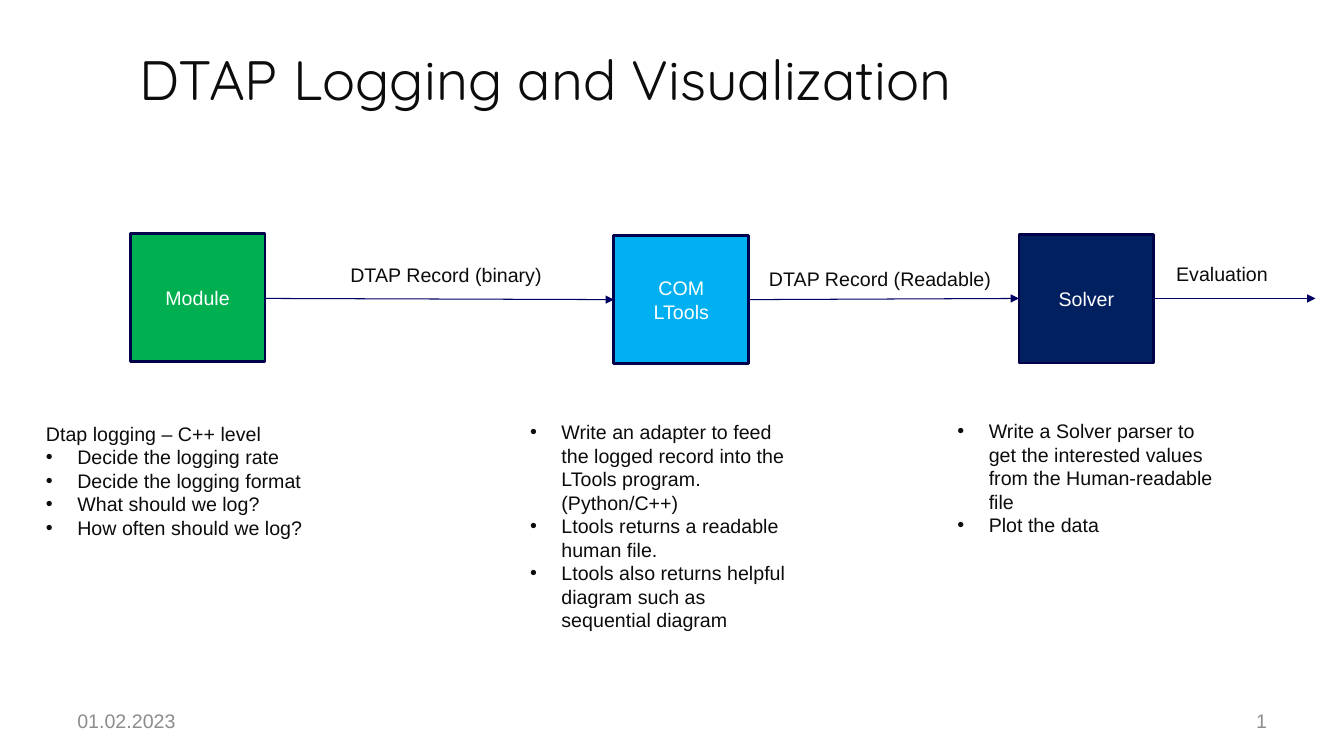
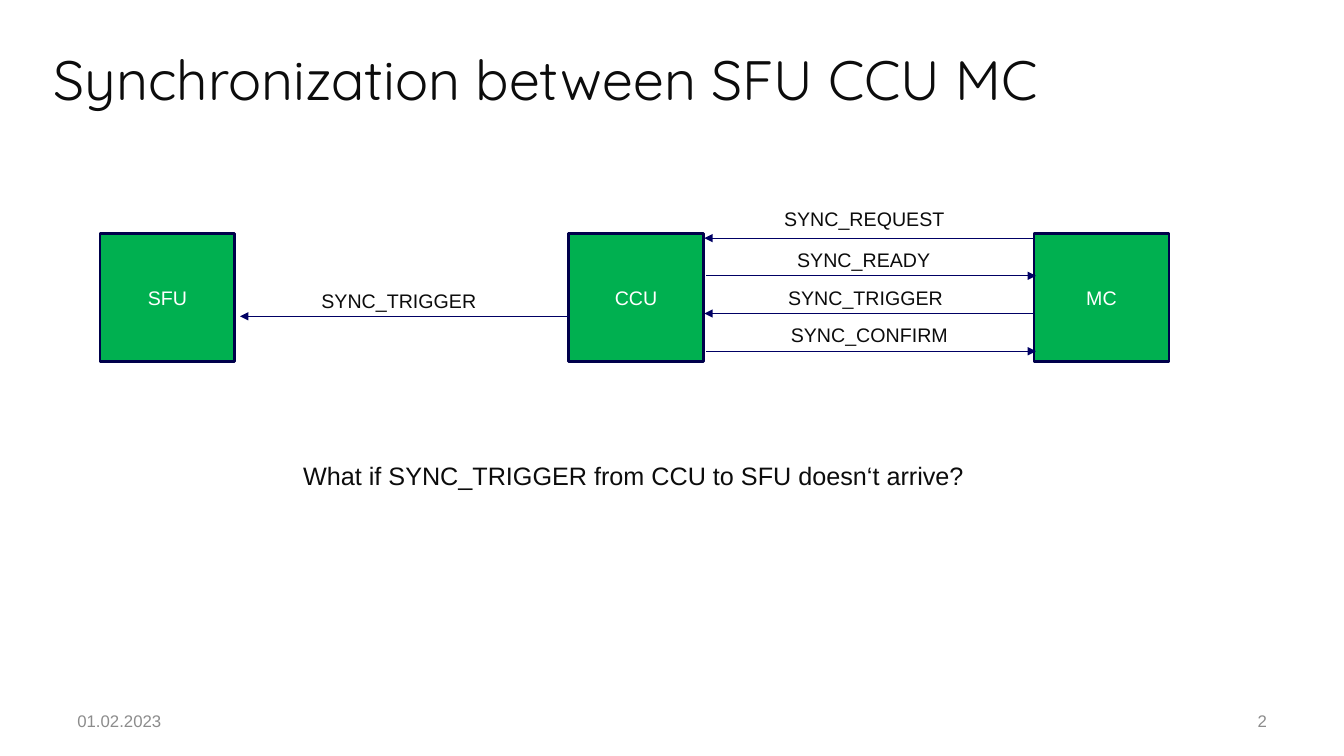
from lxml import etree
from pptx import Presentation
from pptx.dml.color import RGBColor
from pptx.enum.shapes import MSO_CONNECTOR as CONNECTOR, MSO_SHAPE as SHAPE
from pptx.enum.text import MSO_ANCHOR as ANCHOR, PP_ALIGN as ALIGN
from pptx.oxml.ns import qn
from pptx.util import Cm, Pt

INK, GREY, WHITE = "0C0C0C", "8C8C8C", "FFFFFF"
GREEN, SKY, NAVY = "00B050", "00B0F0", "002060"
BORDER, ARROW = "00004B", "000064"
BODY_FONT, TITLE_FONT = "Arial", "Quicksand"
DATE = "01.02.2023"
BOX_W, BOX_H, BOX_TOP = 3.4, 3.23, 5.89
LABEL_H = 0.86
BULLET_INDENT = 0.79


def color(value):
    return RGBColor.from_string(value)


def set_attrs(obj, values):
    for name, value in values.items():
        setattr(obj, name, value)


def fill_paragraph(p, text, size=14, ink=INK, font=BODY_FONT, align=ALIGN.LEFT):
    p.alignment = align
    r = p.add_run()
    r.text = text
    set_attrs(r.font, {"size": Pt(size), "name": font})
    r.font.color.rgb = color(ink)


def add_bullet(p):
    pPr = p._p.get_or_add_pPr()
    pPr.set("marL", str(Cm(BULLET_INDENT)))
    pPr.set("indent", str(-Cm(BULLET_INDENT)))
    etree.SubElement(pPr, qn("a:buFont")).set("typeface", BODY_FONT)
    etree.SubElement(pPr, qn("a:buChar")).set("char", "•")


def add_lines(tf, lines, **style):
    """Write one paragraph per line; a line starting with • becomes a bullet."""
    for i, line in enumerate(lines):
        p = tf.paragraphs[0] if i == 0 else tf.add_paragraph()
        fill_paragraph(p, line.removeprefix("•"), **style)
        if line.startswith("•"):
            add_bullet(p)


def add_text(slide, at, *lines, wrap=True, anchor=ANCHOR.TOP, **style):
    tf = slide.shapes.add_textbox(*map(Cm, at)).text_frame
    set_attrs(tf, {"word_wrap": wrap, "vertical_anchor": anchor})
    add_lines(tf, lines, **style)


def add_label(slide, left, top, width, text, **style):
    add_text(slide, (left, top, width, LABEL_H), text, wrap=False, **style)


def add_box(slide, left, fill, *lines, top=BOX_TOP):
    sp = slide.shapes.add_shape(SHAPE.RECTANGLE, *map(Cm, (left, top, BOX_W, BOX_H)))
    sp.shadow.inherit = False
    sp.fill.solid()
    sp.fill.fore_color.rgb = color(fill)
    sp.line.color.rgb = color(BORDER)
    sp.line.width = Pt(2)
    sp.text_frame.vertical_anchor = ANCHOR.MIDDLE
    add_lines(sp.text_frame, lines, ink=WHITE, align=ALIGN.CENTER)


def add_arrow(slide, x1, y1, x2, y2):
    line = slide.shapes.add_connector(CONNECTOR.STRAIGHT, *map(Cm, (x1, y1, x2, y2)))
    line.line.color.rgb = color(ARROW)
    line.line.width = Pt(0.75)
    etree.SubElement(line.line._get_or_add_ln(), qn("a:tailEnd")).set("type", "triangle")
    etree.SubElement(line._element.spPr, qn("a:effectLst"))


def add_slide(prs, title, footer_size):
    """Add a blank slide with the shared title, date and slide number."""
    slide = prs.slides.add_slide(prs.slide_layouts[6])
    footer = {"anchor": ANCHOR.MIDDLE, "size": footer_size, "ink": GREY}
    add_text(slide, (1.7, 17.65, 7.9, 1.02), DATE, **footer)
    add_text(slide, (24.28, 17.65, 7.9, 1.02), str(len(prs.slides)),
             align=ALIGN.RIGHT, **footer)
    add_text(slide, (0, 1.17, 27.5, 1.6), title, anchor=ANCHOR.MIDDLE,
             size=39.6, font=TITLE_FONT, align=ALIGN.CENTER)
    return slide


def build_logging(prs):
    slide = add_slide(prs, "DTAP Logging and Visualization", 14)
    add_box(slide, 3.28, GREEN, "Module")
    add_box(slide, 15.47, SKY, "COM", "LTools", top=5.94)
    add_box(slide, 25.68, NAVY, "Solver", top=5.92)

    add_arrow(slide, 6.7, 7.52, 15.47, 7.55)
    add_arrow(slide, 18.87, 7.55, 25.68, 7.52)
    add_arrow(slide, 29.08, 7.52, 33.15, 7.52)
    add_label(slide, 8.58, 6.5, 5.46, "DTAP Record (binary)")
    add_label(slide, 19.13, 6.6, 6.22, "DTAP Record (Readable)")
    add_label(slide, 29.39, 6.47, 2.84, "Evaluation")

    add_text(slide, (0.91, 10.5, 6.99, 3.25),
             "Dtap logging – C++ level",
             "•Decide the logging rate",
             "•Decide the logging format",
             "•What should we log?",
             "•How often should we log?", wrap=False)
    add_text(slide, (13.11, 10.46, 7.26, 5.64),
             "•Write an adapter to feed the logged record into the "
             "LTools program. (Python/C++)",
             "•Ltools returns a readable human file.",
             "•Ltools also returns helpful diagram such as sequential diagram")
    add_text(slide, (23.88, 10.44, 7.26, 3.25),
             "•Write a Solver parser to get the interested values "
             "from the Human-readable file",
             "•Plot the data")


def build_synchronization(prs):
    slide = add_slide(prs, "Synchronization between SFU CCU MC", 12)
    for left, name in ((2.52, "SFU"), (14.33, "CCU"), (26.06, "MC")):
        add_box(slide, left, GREEN, name)

    to_ccu, to_mc = (26.06, 17.75), (17.8, 26.11)
    messages = (
        (to_ccu, 19.51, 5.09, 4.6, "SYNC_REQUEST"),
        (to_mc, 19.84, 6.12, 3.91, "SYNC_READY"),
        (to_ccu, 19.61, 7.09, 4.45, "SYNC_TRIGGER"),
        (to_mc, 19.68, 8.0, 4.5, "SYNC_CONFIRM"),
    )
    for i, ((start, end), *label) in enumerate(messages):
        y = 6 + 0.95 * i
        add_arrow(slide, start, y, end, y)
        add_label(slide, *label)

    add_arrow(slide, 14.33, 7.97, 6.05, 7.97)
    add_label(slide, 7.85, 7.15, 4.45, "SYNC_TRIGGER")
    add_label(slide, 7.39, 11.48, 17.32,
              "What if SYNC_TRIGGER from CCU to SFU doesn‘t arrive?", size=18)


def main():
    prs = Presentation()
    set_attrs(prs, {"slide_width": Cm(33.87), "slide_height": Cm(19.05)})
    build_logging(prs)
    build_synchronization(prs)
    prs.save("out.pptx")


if __name__ == "__main__":
    main()
